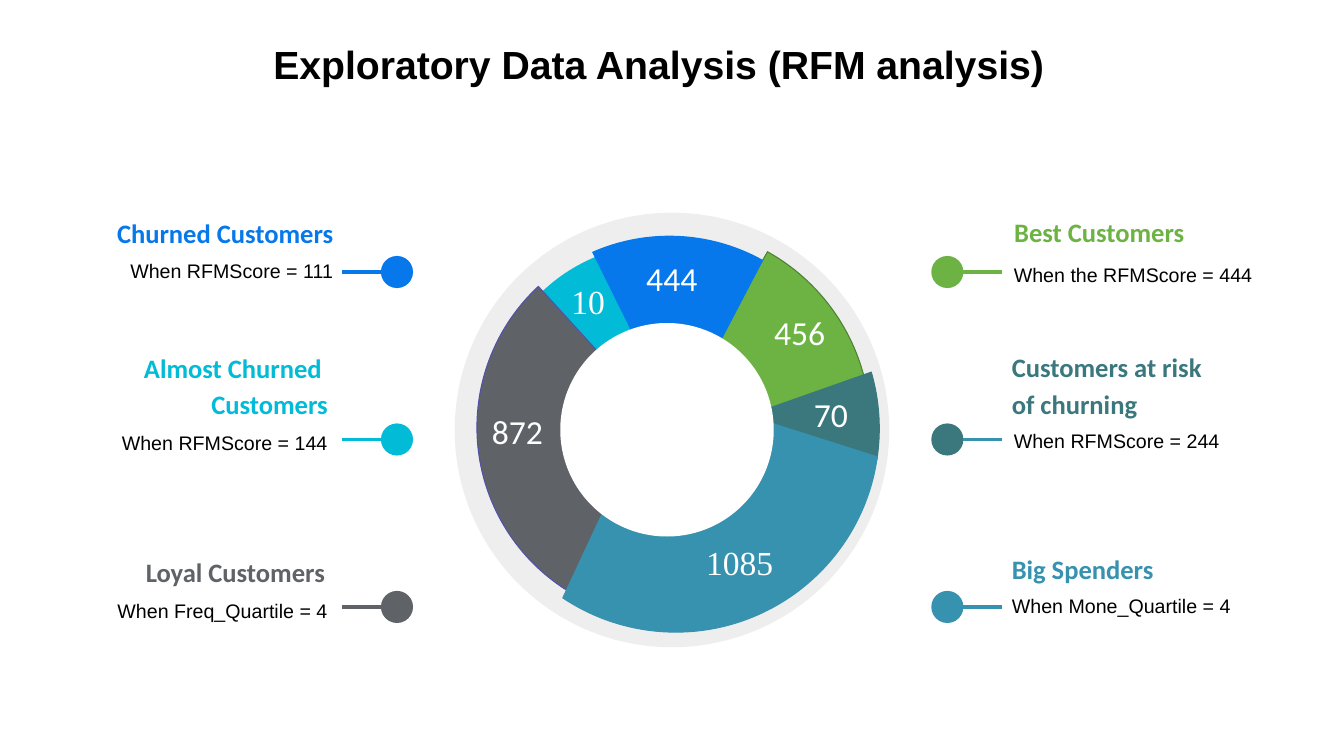
"""Build the RFM analysis slide: a ring of customer segments with callouts."""
from dataclasses import dataclass
from math import cos, radians, sin, tan

from lxml.etree import SubElement
from pptx import Presentation
from pptx.dml.color import RGBColor
from pptx.enum.shapes import MSO_CONNECTOR, MSO_SHAPE
from pptx.enum.text import MSO_ANCHOR, MSO_AUTO_SIZE, PP_ALIGN
from pptx.oxml.ns import qn
from pptx.util import Cm, Pt


@dataclass(frozen=True)
class Theme:
    """Colours, fonts and type sizes of the slide."""
    black: str = "000000"
    white: str = "FFFFFF"
    backdrop: str = "EEEEEE"
    churned: str = "0678EB"
    almost: str = "02BBD6"
    loyal: str = "5F6368"
    loyal_edge: str = "5151AB"
    best: str = "6CB344"
    best_edge: str = "4F7F32"
    risk: str = "3A787E"
    spenders: str = "3792AF"
    body_font: str = "Arial"
    heading_font: str = "Calibri"
    serif_font: str = "Times New Roman"
    title_size: float = 28
    heading_size: float = 19
    detail_size: float = 14
    value_size: float = 24


def write_text(frame, text, *, font, size, color, bold=False,
               align=PP_ALIGN.LEFT, anchor=MSO_ANCHOR.TOP, spacing=1.0):
    """Fill a text frame with one formatted paragraph per line."""
    frame.word_wrap = True
    frame.auto_size = MSO_AUTO_SIZE.NONE
    frame.vertical_anchor = anchor
    frame.margin_left = frame.margin_right = 0
    frame.margin_top = frame.margin_bottom = 0
    for index, line in enumerate(text.split("\n")):
        paragraph = frame.add_paragraph() if index else frame.paragraphs[0]
        paragraph.alignment = align
        paragraph.line_spacing = spacing
        run = paragraph.add_run()
        run.text = line
        run.font.name = font
        run.font.size = Pt(size)
        run.font.bold = bold
        run.font.color.rgb = RGBColor.from_string(color)


class SlideBuilder:
    """Hold the theme and the slide, and add each kind of element."""

    marker_size = 0.81
    stem_length = 0.98
    text_width = 8

    def __init__(self, slide, theme):
        """Keep the slide and its theme."""
        self.slide = slide
        self.theme = theme

    def paint(self, shape, fill, edge=None):
        """Give a shape a flat fill and an optional thin outline."""
        shape.shadow.inherit = False
        shape.fill.solid()
        shape.fill.fore_color.rgb = RGBColor.from_string(fill)
        if edge:
            shape.line.color.rgb = RGBColor.from_string(edge)
            shape.line.width = Pt(0.75)
        else:
            shape.line.fill.background()

    def title(self, text):
        """Place and fill the title placeholder."""
        title = self.slide.shapes.title
        title.left, title.top = Cm(5.83), Cm(0.89)
        title.width, title.height = Cm(21.54), Cm(1.45)
        write_text(title.text_frame, text, font=self.theme.body_font,
                   size=self.theme.title_size, color=self.theme.black,
                   bold=True, align=PP_ALIGN.CENTER, anchor=MSO_ANCHOR.MIDDLE)

    def shape(self, kind, left, top, width, height, fill):
        """Add a filled preset shape."""
        shape = self.slide.shapes.add_shape(
            kind, Cm(left), Cm(top), Cm(width), Cm(height))
        self.paint(shape, fill)
        return shape

    def text(self, text, left, top, width, height, **style):
        """Add a text box."""
        box = self.slide.shapes.add_textbox(
            Cm(left), Cm(top), Cm(width), Cm(height))
        write_text(box.text_frame, text, **style)

    def line(self, start, end, y, color):
        """Add a horizontal line."""
        line = self.slide.shapes.add_connector(
            MSO_CONNECTOR.STRAIGHT, Cm(start), Cm(y), Cm(end), Cm(y))
        line.line.color.rgb = RGBColor.from_string(color)
        line.line.width = Pt(2.25)
        SubElement(line._element.spPr, qn("a:effectLst"))

    def slice(self, tip, center, radius, start, end, fill, edge=None):
        """Add a ring slice whose arc runs clockwise between two angles."""
        quarters = [angle for angle in range(0, 361, 90) if start < angle < end]
        angles = [radians(angle) for angle in (start, *quarters, end)]

        def arc_point(angle, bend=0):
            """Return a point on the arc, moved along its tangent by bend."""
            return (Cm(center[0] + radius * (cos(angle) - bend * sin(angle))),
                    Cm(center[1] + radius * (sin(angle) + bend * cos(angle))))

        builder = self.slide.shapes.build_freeform(Cm(tip[0]), Cm(tip[1]))
        builder.add_line_segments([arc_point(angle) for angle in angles])
        shape = builder.convert_to_shape()
        segments = list(shape._element.iter(qn("a:lnTo")))[1:]
        for segment, first, last in zip(segments, angles, angles[1:]):
            bend = 4 / 3 * tan((last - first) / 4)
            segment.tag = qn("a:cubicBezTo")
            controls = (arc_point(first, bend), arc_point(last, -bend))
            for index, (x, y) in enumerate(controls):
                point = SubElement(segment, qn("a:pt"), x=str(x - shape.left),
                                   y=str(y - shape.top))
                segment.insert(index, point)
        SubElement(segments[-1].getparent(), qn("a:close"))
        self.paint(shape, fill, edge)

    def value(self, text, x, y, font):
        """Add a slice value centred on a point."""
        width, height = 2.36, 1.55
        self.text(text, x - width / 2, y - height / 2, width, height,
                  font=font, size=self.theme.value_size,
                  color=self.theme.white, align=PP_ALIGN.CENTER,
                  anchor=MSO_ANCHOR.MIDDLE, spacing=0.9)

    def callout(self, row, on_left, heading, detail, color, stem_color,
                heading_edge, heading_top, detail_edge, detail_top):
        """Add a heading, a detail, and a marker with its stem."""
        theme = self.theme
        align = PP_ALIGN.RIGHT if on_left else PP_ALIGN.LEFT
        shift = self.text_width if on_left else 0
        self.text(heading, heading_edge - shift, heading_top, self.text_width,
                  0.93, font=theme.heading_font, size=theme.heading_size,
                  color=color, bold=True, align=align, spacing=1.15)
        self.text(detail, detail_edge - shift, detail_top, self.text_width,
                  0.9, font=theme.body_font, size=theme.detail_size,
                  color=theme.black, align=align, spacing=1.15)
        size = self.marker_size
        left = 9.6 if on_left else 23.47
        top = 6.45 + 4.22 * row
        self.shape(MSO_SHAPE.OVAL, left, top, size, size, color)
        start = left if on_left else left + size
        end = start + (-self.stem_length if on_left else self.stem_length)
        self.line(start, end, top + size / 2, stem_color)


def main():
    """Create the presentation and save it."""
    presentation = Presentation()
    presentation.slide_width, presentation.slide_height = Cm(33.87), Cm(19.05)
    slide = presentation.slides.add_slide(presentation.slide_layouts[5])
    theme = Theme()
    builder = SlideBuilder(slide, theme)
    builder.title("Exploratory Data Analysis (RFM analysis)")

    builder.shape(MSO_SHAPE.OVAL, 11.46, 5.36, 10.95, 10.95, theme.backdrop)
    almost = builder.shape(MSO_SHAPE.PIE, 12.62, 6.12, 7.95, 6.43, theme.almost)
    almost.adjustments[0], almost.adjustments[1] = 66.8, 3.91
    almost.rotation = 349.4

    left_callouts = [
        ("Churned Customers", "When RFMScore = 111", theme.churned,
         theme.churned, 8.4, 5.35, 8.4, 6.43),
        ("Almost Churned \nCustomers", "When RFMScore = 144", theme.almost,
         theme.almost, 8.26, 8.74, 8.26, 10.77),
        ("Loyal Customers", "When Freq_Quartile = 4", theme.loyal,
         theme.loyal, 8.19, 13.89, 8.26, 15.01),
    ]
    right_callouts = [
        ("Best Customers", "When the RFMScore = 444", theme.best,
         theme.best, 25.56, 5.33, 25.55, 6.53),
        ("Customers at risk\nof churning", "When RFMScore = 244", theme.risk,
         theme.spenders, 25.5, 8.73, 25.55, 10.72),
        ("Big Spenders", "When Mone_Quartile = 4", theme.spenders,
         theme.spenders, 25.5, 13.82, 25.5, 14.88),
    ]
    for on_left, callouts in ((True, left_callouts), (False, right_callouts)):
        for row, callout in enumerate(callouts):
            builder.callout(row, on_left, *callout)

    upper, lower = (16.87, 10.77), (17.03, 10.8)
    slices = [
        ((16.81, 10.77), upper, 4.85, 120.8, 227.1, theme.loyal, theme.loyal_edge),
        ((16.81, 10.77), upper, 5.07, 299.2, 349.3, theme.best, theme.best_edge),
        ((17.07, 10.69), upper, 4.83, 246.2, 299.3, theme.churned),
        ((16.79, 11.2), lower, 5.13, 343.9, 368.8, theme.risk, theme.risk),
        ((16.66, 9.78), lower, 5.13, 8, 123.7, theme.spenders, theme.spenders),
    ]
    for ring_slice in slices:
        builder.slice(*ring_slice)
    builder.shape(MSO_SHAPE.OVAL, 14.12, 8.14, 5.38, 5.38, theme.white)

    for value in [("1085", 18.64, 14.23, theme.serif_font),
                  ("872", 13.04, 10.93, theme.heading_font),
                  ("444", 16.93, 7.07, theme.heading_font),
                  ("456", 20.15, 8.42, theme.heading_font),
                  ("70", 20.94, 10.5, theme.heading_font),
                  ("10", 14.82, 7.65, theme.serif_font)]:
        builder.value(*value)
    presentation.save("out.pptx")


if __name__ == "__main__":
    main()
